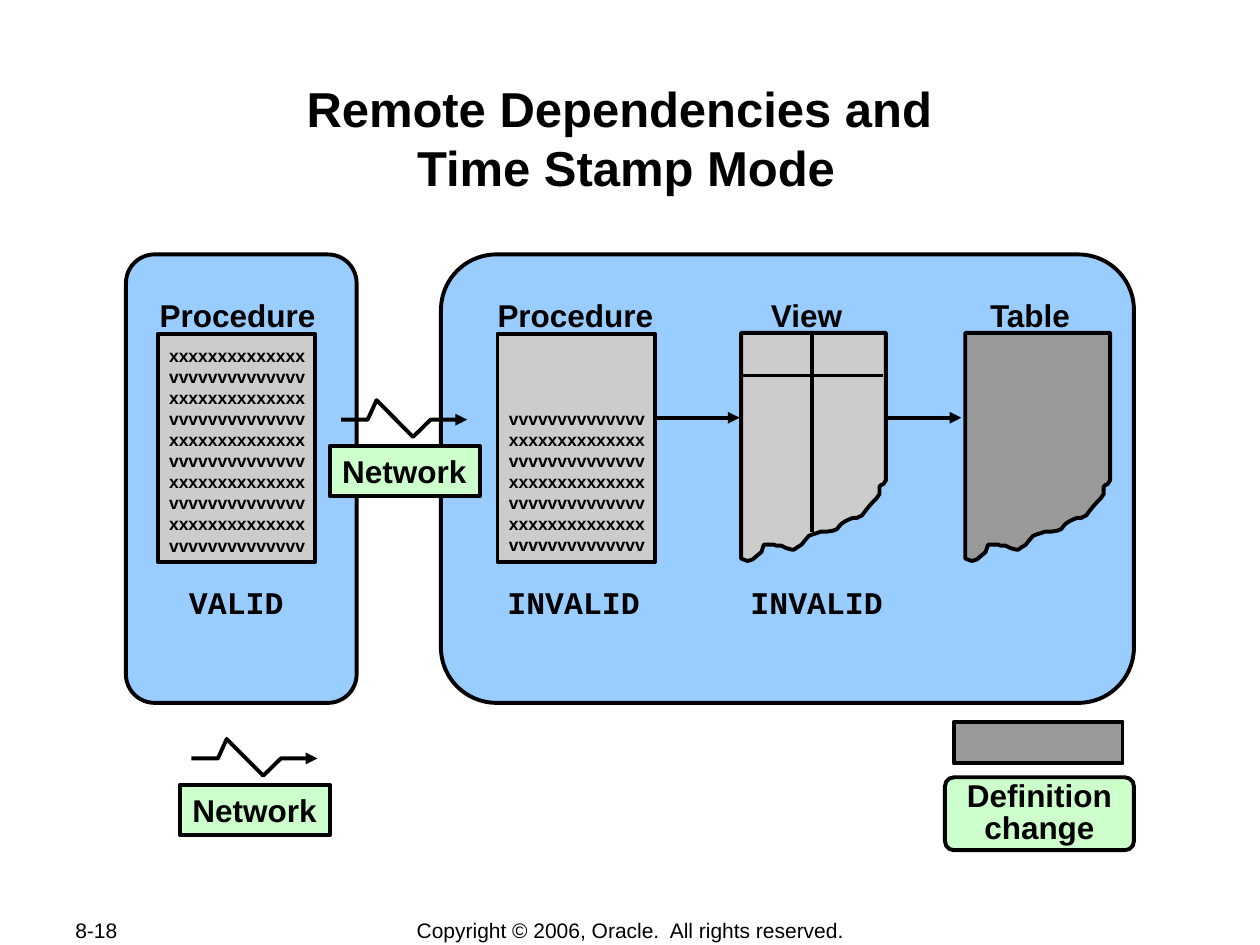
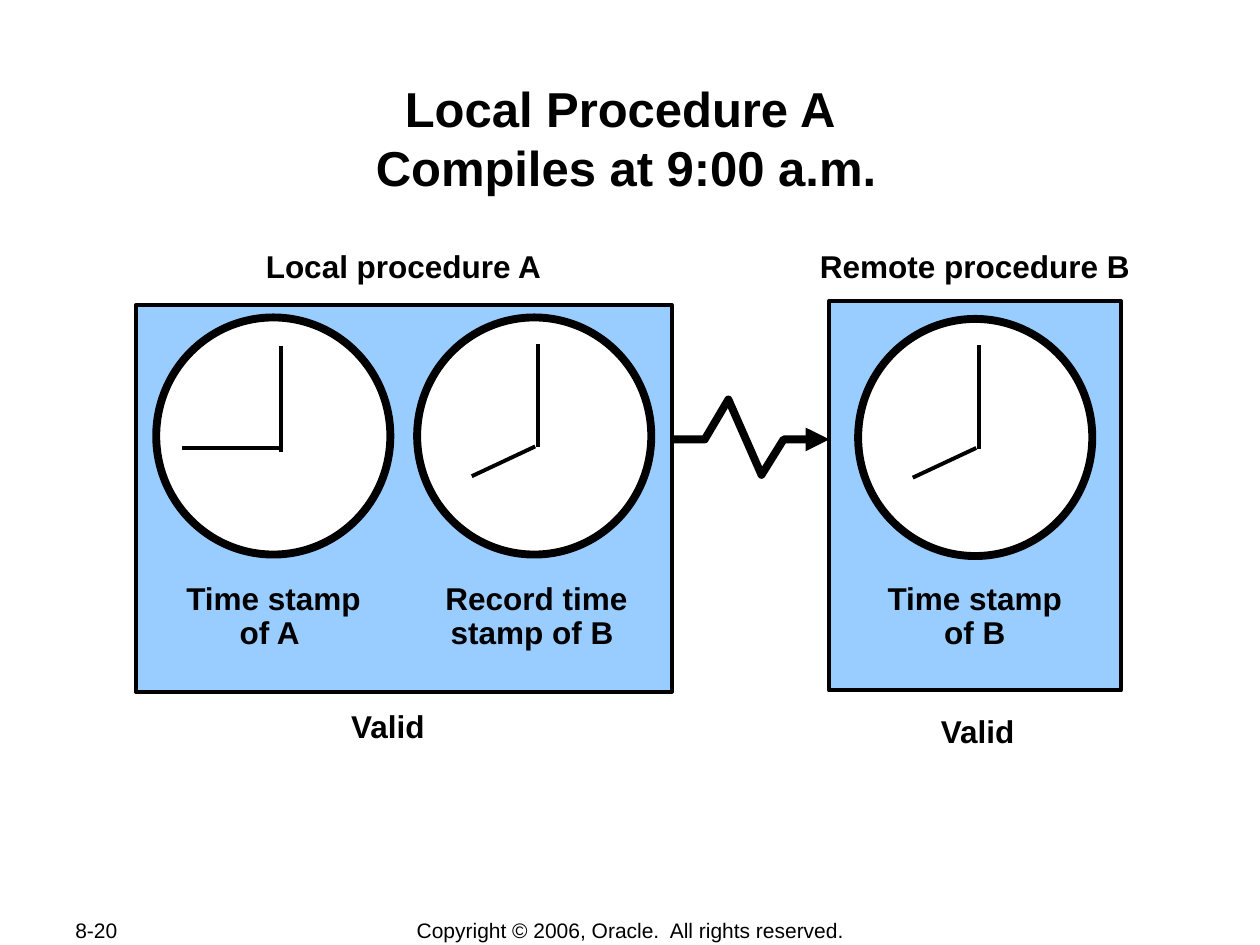
from lxml import etree
from pptx import Presentation
from pptx import util as u
from pptx.dml import color
from pptx.enum import shapes, text
from pptx.oxml import ns

COLOURS = {
    "ink": "000000",
    "paper": "FFFFFF",
    "panel": "99CCFF",
    "label": "CCFFCC",
    "light": "CCCCCC",
    "dark": "999999",
}
RECT = shapes.MSO_SHAPE.RECTANGLE
ROUNDED = shapes.MSO_SHAPE.ROUNDED_RECTANGLE
OVAL = shapes.MSO_SHAPE.OVAL
LEFT, CENTRE = text.PP_ALIGN.LEFT, text.PP_ALIGN.CENTER
TOP, MIDDLE = text.MSO_ANCHOR.TOP, text.MSO_ANCHOR.MIDDLE

# Outline of a torn sheet, from its lower right corner
TORN_SHEET = [
    (2.92, 2.97), (2.92, 0), (0, 0), (0, 4.55), (0.13, 4.6), (0.23, 4.57),
    (0.41, 4.42), (0.46, 4.27), (0.66, 4.27), (0.71, 4.29), (0.81, 4.29),
    (0.91, 4.34), (1.02, 4.37), (1.07, 4.37), (1.14, 4.32), (1.22, 4.27),
    (1.3, 4.17), (1.37, 4.09), (1.45, 4.06), (1.52, 4.04), (1.6, 4.01),
    (1.73, 4.01), (1.85, 3.99), (1.93, 3.96), (2.01, 3.86), (2.08, 3.81),
    (2.18, 3.76), (2.26, 3.73), (2.34, 3.73), (2.44, 3.68), (2.49, 3.61),
    (2.57, 3.51), (2.64, 3.43), (2.72, 3.35), (2.79, 3.25), (2.79, 3.1),
    (2.82, 3.07), (2.87, 3.05),
]

# Clock hands as (from, to), measured from the corner of the clock
NINE = [((2.51, 0.58), (2.51, 2.72)), ((2.51, 2.64), (0.51, 2.64))]
EIGHT = [((2.44, 0.53), (2.44, 2.62)), ((2.38, 2.6), (1.1, 3.2))]

CODE_LINES = ["x" * 14, "v" * 14] * 5
CODE_PITCH = 0.42


def rgb(name):
    return color.RGBColor.from_string(COLOURS[name])


class SlideStyle:
    """Holds the style and the current slide; all lengths are in centimetres."""

    def __init__(self, deck):
        self.deck = deck
        self.page = None

    def start(self, title, number):
        self.page = self.deck.slides.add_slide(self.deck.slide_layouts[6])
        self.label(title, 2.46, 1.47, 20.32, 2.44, size=28, align=CENTRE,
                   wrap=True, inset=(0.03, 0.12))
        footer = dict(size=12, bold=False, anchor=MIDDLE, wrap=True)
        self.label(number, 1.27, 18.49, 2.69, 0.52, **footer)
        self.label("Copyright © 2006, Oracle.  All rights reserved.",
                   7.01, 18.49, 11.4, 0.52, align=CENTRE, **footer)

    def fill_text(self, shape, words, size=18, bold=True, font="Arial",
                  align=LEFT, anchor=TOP, spacing=None, wrap=False,
                  inset=(0.25, 0.13)):
        frame = shape.text_frame
        frame.word_wrap = wrap
        frame.vertical_anchor = anchor
        frame.margin_left = frame.margin_right = u.Cm(inset[0])
        frame.margin_top = frame.margin_bottom = u.Cm(inset[1])
        frame.text = words
        for para in frame.paragraphs:
            para.alignment = align
            para.line_spacing = spacing
            para.font.name = font
            para.font.size = u.Pt(size)
            para.font.bold = bold
            para.font.color.rgb = rgb("ink")

    def label(self, words, left, top, width, height=1.02, **style):
        box = self.page.shapes.add_textbox(
            u.Cm(left), u.Cm(top), u.Cm(width), u.Cm(height))
        self.fill_text(box, words, **style)

    def outline(self, shape, weight=2.25, arrow=False):
        shape.line.color.rgb = rgb("ink")
        shape.line.width = u.Pt(weight)
        if arrow:
            line = shape._element.spPr.find(ns.qn("a:ln"))
            etree.SubElement(line, ns.qn("a:tailEnd"), type="triangle")

    def paint(self, shape, fill):
        shape.shadow.inherit = False
        if fill:
            shape.fill.solid()
            shape.fill.fore_color.rgb = rgb(fill)
        else:
            shape.fill.background()

    def box(self, kind, left, top, width, height, fill, words=None,
            weight=2.25, **style):
        shape = self.page.shapes.add_shape(
            kind, u.Cm(left), u.Cm(top), u.Cm(width), u.Cm(height))
        if kind == ROUNDED:
            shape.adjustments[0] = 0.124
        self.outline(shape, weight)
        self.paint(shape, fill)
        if words:
            self.fill_text(shape, words, **style)

    def line(self, start, end, arrow=False):
        ends = [u.Cm(length) for length in (*start, *end)]
        connector = self.page.shapes.add_connector(
            shapes.MSO_CONNECTOR.STRAIGHT, *ends)
        self.outline(connector, arrow=arrow)
        etree.SubElement(connector._element.spPr, ns.qn("a:effectLst"))

    def freeform(self, left, top, points, fill=None, **line):
        spots = [(u.Cm(left + x), u.Cm(top + y)) for x, y in points]
        builder = self.page.shapes.build_freeform(*spots[0])
        builder.add_line_segments(spots[1:], close=bool(fill))
        shape = builder.convert_to_shape()
        self.outline(shape, **line)
        self.paint(shape, fill)

    def zigzag(self, left, middle, width, height, peak, weight=2.25):
        """Network arrow; peak is the place of the upper bend along its width."""
        bends = [(0, 0), (0.21, 0), (peak, -0.53), (0.57, 0.47), (0.71, 0), (1, 0)]
        self.freeform(left, middle, [(x * width, y * height) for x, y in bends],
                      weight=weight, arrow=True)

    def network(self, left, top):
        self.box(RECT, left, top, 3.02, 1.02, "label", "Network")
        self.zigzag(left + 0.23, top - 0.53, 2.54, 0.74, peak=0.28)

    def procedure(self, left, first_line=0):
        self.box(RECT, left, 6.73, 3.18, 4.6, "light")
        lines = CODE_LINES[first_line:]
        self.label("\n".join(lines), left + 0.03, 6.86 + first_line * CODE_PITCH,
                   3.15, len(lines) * CODE_PITCH + 0.2, size=10, inset=(0.2, 0.1))

    def clock(self, left, top, hands):
        self.box(OVAL, left, top, 4.72, 4.78, "paper", weight=4.5)
        for start, end in hands:
            self.line((left + start[0], top + start[1]),
                      (left + end[0], top + end[1]))


def dependencies(style):
    style.start("Remote Dependencies and \vTime Stamp Mode", "8-18")

    # Local and remote sides
    for left, width in ((2.54, 4.65), (8.89, 13.97)):
        style.box(ROUNDED, left, 5.13, width, 9.04, "panel")

    # Procedures, view and table
    style.procedure(3.18)
    style.procedure(10.03, first_line=3)
    for left, fill in ((14.94, "light"), (19.46, "dark")):
        style.freeform(left, 6.71, TORN_SHEET, fill)
    style.line((16.36, 6.76), (16.36, 10.72))
    style.line((14.96, 7.57), (17.81, 7.57))
    for start, end in ((13.23, 14.91), (17.91, 19.38)):
        style.line((start, 8.42), (end, 8.42), arrow=True)

    # Names and states
    for name, left, width in (("Procedure", 2.97, 3.66), ("Procedure", 9.78, 3.66),
                              ("View", 15.29, 1.96), ("Table", 19.71, 2.18)):
        style.label(name, left, 5.84, width)
    for state, left, width in (("VALID", 3.56, 2.41), ("INVALID", 9.98, 3.18),
                               ("INVALID", 14.88, 3.18)):
        style.label(state, left, 11.63, width, font="Courier New")

    # Network link and legend
    style.network(6.65, 8.99)
    style.network(3.63, 15.82)
    style.box(RECT, 19.23, 14.55, 3.4, 0.84, "dark")
    style.box(ROUNDED, 19.05, 15.67, 3.81, 1.47, "label", "Definition\vchange",
              align=CENTRE, anchor=MIDDLE, spacing=0.85)


def compilation(style):
    style.start("Local Procedure A \vCompiles at 9:00 a.m.", "8-20")

    # Procedure panels joined by the network
    style.box(RECT, 2.74, 6.15, 10.8, 7.8, "panel")
    style.box(RECT, 16.71, 6.07, 5.89, 7.85, "panel")
    style.zigzag(13.54, 8.86, 3.18, 1.52, peak=0.36, weight=4.5)

    # Headings and states
    for words, left, top, width in (("Local procedure A", 5.11, 4.85, 6.1),
                                    ("Remote procedure B", 16.28, 4.85, 6.76),
                                    ("Valid", 6.83, 14.12, 2.03),
                                    ("Valid", 18.72, 14.22, 2.03)):
        style.label(words, left, top, width)

    # Clocks and their captions
    for left, top, hands in ((3.15, 6.4, NINE), (8.41, 6.4, EIGHT),
                             (17.3, 6.43, EIGHT)):
        style.clock(left, top, hands)
    for words, left, width in (("Time stamp of A ", 3.38, 4.27),
                               ("Record time stamp of B ", 8.48, 4.67),
                               ("Time stamp\nof B", 17.63, 4.04)):
        style.label(words, left, 11.63, width, 1.63, align=CENTRE,
                    spacing=0.9, wrap=True)


def main():
    deck = Presentation()
    deck.slide_width, deck.slide_height = u.Cm(25.4), u.Cm(19.05)
    style = SlideStyle(deck)
    dependencies(style)
    compilation(style)
    deck.save("out.pptx")


if __name__ == "__main__":
    main()
